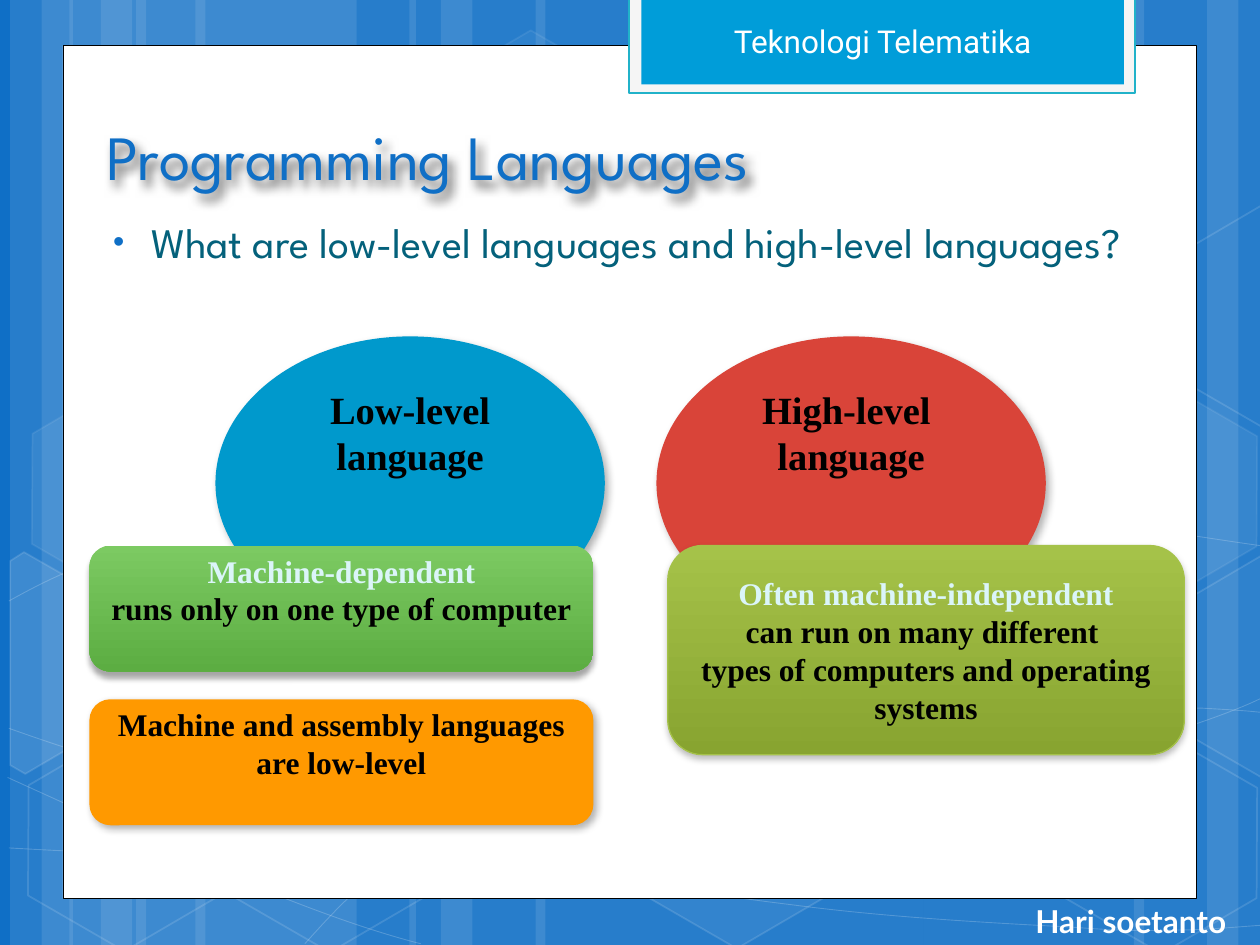
from math import cos, radians, sin

from lxml.etree import SubElement
from pptx import Presentation
from pptx.dml.color import RGBColor
from pptx.enum.shapes import MSO_SHAPE
from pptx.enum.text import MSO_ANCHOR, PP_ALIGN
from pptx.oxml import parse_xml
from pptx.oxml.ns import nsdecls, qn
from pptx.util import Cm, Pt

BLUE = RGBColor(0x0F, 0x6F, 0xC6)
TEAL = RGBColor(0x04, 0x61, 0x7B)
CYAN = RGBColor(0x00, 0x9D, 0xD9)
EDGE = RGBColor(0x21, 0xB2, 0xC9)
PALE = RGBColor(0xDB, 0xF5, 0xF9)
GREY = RGBColor(0xF5, 0xF5, 0xF5)
WHITE = RGBColor(0xFF, 0xFF, 0xFF)
BLACK = RGBColor(0, 0, 0)
RED = RGBColor(0xD9, 0x44, 0x39)
SKY = RGBColor(0x00, 0x99, 0xCC)
ORANGE = RGBColor(0xFF, 0x99, 0x00)
LIME = RGBColor(0xA5, 0xC2, 0x49)
GREENS = [RGBColor(0x7C, 0xCA, 0x62), RGBColor(0x5C, 0xAD, 0x42)]
OLIVES = [LIME, RGBColor(0x88, 0xA4, 0x30)]
SERIF = "Times New Roman"

# Shadows: opacity %, blur pt, distance pt, angle
SOFT = (30, 4.5, 2.6, 53)
BELOW = (34, 3.5, 4, 90)
FAINT = (28, 4, 2, 90)
TITLE_SHADOW = (65, 6, 4, 60)

# Places below are in inches.
# Stripe sets: outer edge, direction, width of the broad stripe
STRIPE_SETS = [(0.08, 1, 1.75), (0.55, 1, 1.75), (10.08, -1, 1.75), (3.25, 1, 3.08)]
# Waves: start, then Bezier triples (control, control, end)
WAVES = [
    [(0.07, 6.73), (0.61, 6.76), (1.15, 6.79), (1.9, 6.78), (2.65, 6.77), (3.58, 6.75),
     (4.58, 6.65), (5.58, 6.55), (7, 6.36), (7.92, 6.17), (8.83, 5.98), (9.77, 5.68), (10.07, 5.51)],
    [(0.07, 4.77), (0.36, 4.61), (0.65, 4.46), (1.21, 4.31), (1.78, 4.16), (2.59, 3.94),
     (3.47, 3.87), (4.36, 3.8), (5.44, 3.79), (6.54, 3.87), (7.64, 3.95), (9.47, 4.26), (10.07, 4.34)],
    [(0.06, 6.17), (1.27, 6.72), (2.47, 7.27), (3.34, 7.49)],
    [(0.07, 5.78), (0.38, 5.89), (0.7, 6), (1.28, 6.16), (1.86, 6.31), (2.73, 6.56),
     (3.57, 6.73), (4.4, 6.9), (5.45, 7.08), (6.28, 7.18), (7.11, 7.29), (8, 7.33),
     (8.53, 7.36), (9.05, 7.4), (9.19, 7.38), (9.45, 7.38), (9.71, 7.37), (9.89, 7.35), (10.07, 7.34)],
    [(2.42, 7.49), (2.6, 7.29), (2.78, 7.09), (3.02, 6.91), (3.26, 6.73), (3.6, 6.53),
     (3.88, 6.39), (4.16, 6.25), (4.33, 6.19), (4.7, 6.09), (5.06, 5.99), (5.73, 5.85),
     (6.08, 5.78), (6.44, 5.71), (6.49, 5.71), (6.8, 5.69), (7.11, 5.66), (7.6, 5.63),
     (7.94, 5.62), (8.29, 5.61), (8.86, 5.62), (8.86, 5.62), (9.08, 5.62), (9.31, 5.62),
     (9.53, 5.62), (9.71, 5.63), (9.88, 5.64), (9.97, 5.65), (10.06, 5.66), (10.03, 5.65), (10.06, 5.66)],
]
TILT = 30
# Hexagons: left, top, fill opacity, line opacity
HEXAGONS = [(3.34, 0.36, 4, 8), (4.97, 5.89, 6, 12), (0.11, 5.91, 0, 12),
            (0.14, 3.12, 7, 8), (1.74, 5.92, 0, 12), (7.53, 4.53, 10, 12),
            (8.34, 5.93, 0, 12), (8.34, 3.14, 7, 8)]
# Hexagons cut by the slide edge: centre, corners, fill opacity
CUT_HEXAGONS = [
    ((0.36, 5.35), [(0.08, 4.45), (0.19, 4.38), (0.96, 4.82), (0.95, 5.7), (0.2, 6.14), (0.08, 6.07)], 10),
    ((9.85, 5.2), [(9.26, 4.85), (10.01, 4.41), (10.09, 4.46), (10.09, 6.13), (10.02, 6.17), (9.26, 5.73)], 4),
    ((9.85, 2.41), [(9.26, 2.07), (10.01, 1.63), (10.1, 1.68), (10.09, 3.35), (10.02, 3.39), (9.26, 2.95)], 0),
]
# Ellipses: left, fill, text
ELLIPSES = [(5.21, RED, "High-level \vlanguage"), (1.71, SKY, "Low-level\vlanguage")]
# Cards: place, fill, line, shadow, anchor, runs
CARDS = [
    ((0.71, 4.33, 4, 1), GREENS, None, BELOW, MSO_ANCHOR.TOP,
     [("Machine-dependent\v", PALE), ("runs only on one type of computer", BLACK)]),
    ((5.3, 4.33, 4.1, 1.66), OLIVES, LIME, FAINT, MSO_ANCHOR.MIDDLE,
     [("Often machine-independent\v", PALE),
      ("can run on many different \vtypes of computers and operating systems", BLACK)]),
    ((0.71, 5.55, 4, 1), ORANGE, None, SOFT, MSO_ANCHOR.TOP,
     [("Machine and assembly languages are low-level", BLACK)]),
]


def inch(v):
    return Cm(v * 2.54)


def set_color(fill, color, opacity):
    fill.solid()
    fill.fore_color.rgb = color
    if opacity < 100:
        clr = fill._xPr.find(qn("a:solidFill"))[0]
        SubElement(clr, qn("a:alpha")).set("val", str(opacity * 1000))


def add_shadow(sp, opacity, blur, dist, angle):
    sp.shadow.inherit = False
    SubElement(sp.element.spPr.find(qn("a:effectLst")), qn("a:outerShdw")).append(parse_xml(
        f'<a:srgbClr {nsdecls("a")} val="000000"><a:alpha val="{opacity * 1000}"/></a:srgbClr>'))
    shadow = sp.element.spPr.find(qn("a:effectLst"))[0]
    for key, value in (("blurRad", Pt(blur)), ("dist", Pt(dist)), ("dir", angle * 60000),
                       ("algn", "tl"), ("rotWithShape", 0)):
        shadow.set(key, str(value))


def paint(sp, fill=None, line=None, width=1, opacity=100, line_opacity=100, shadow=None):
    sp.shadow.inherit = False
    if isinstance(fill, list):
        sp.fill.gradient()
        sp.fill.gradient_angle = 270
        for stop, color in zip(sp.fill.gradient_stops, fill):
            stop.color.rgb = color
    elif fill is None or opacity == 0:
        sp.fill.background()
    else:
        set_color(sp.fill, fill, opacity)
    if line is None:
        sp.line.fill.background()
    else:
        sp.line.width = Pt(width)
        set_color(sp.line.fill, line, line_opacity)
    if shadow:
        add_shadow(sp, *shadow)
    return sp


def add_shape(kind, place, **look):
    return paint(s.shapes.add_shape(kind, *map(inch, place)), **look)


def add_outline(points, close, **look):
    pts = [(inch(x), inch(y)) for x, y in points]
    fb = s.shapes.build_freeform(*pts[0], scale=1.0)
    fb.add_line_segments(pts[1:], close=close)
    return paint(fb.convert_to_shape(), line=WHITE, **look)


def bend(sp):
    """Turn each three line segments into one Bezier curve."""
    segments = list(sp.element.spPr.iter(qn("a:lnTo")))
    for i in range(0, len(segments), 3):
        curve = SubElement(segments[i].getparent(), qn("a:cubicBezTo"))
        for segment in segments[i:i + 3]:
            curve.append(segment[0])
            segment.getparent().remove(segment)


def turn(point, centre, degrees):
    a = radians(degrees)
    dx, dy = point[0] - centre[0], point[1] - centre[1]
    return centre[0] + dx * cos(a) - dy * sin(a), centre[1] + dx * sin(a) + dy * cos(a)


def write(sp, text, size=18, font=SERIF, color=BLACK, bold=False, align=PP_ALIGN.CENTER,
          anchor=MSO_ANCHOR.TOP, wrap=True, inset=None):
    """Text is a string, or a list of (string, colour) runs; \\v breaks a line."""
    tf = sp.text_frame
    tf.word_wrap = wrap
    tf.vertical_anchor = anchor
    if inset is not None:
        tf.margin_left = tf.margin_right = tf.margin_top = tf.margin_bottom = inset
    p = tf.paragraphs[0]
    p.alignment = align
    for part, part_color in [(text, color)] if isinstance(text, str) else text:
        for i, piece in enumerate(part.split("\v")):
            if i:
                p.add_line_break()
            if piece:
                r = p.add_run()
                r.text = piece
                r.font.size, r.font.name, r.font.bold = Pt(size), font, bold
                r.font.color.rgb = part_color
    return p


def add_text(place, text, **fmt):
    sp = s.shapes.add_textbox(*map(inch, place))
    return sp, write(sp, text, **fmt)


prs = Presentation()
prs.slide_width, prs.slide_height = Cm(25.4), Cm(19.05)
s = prs.slides.add_slide(prs.slide_layouts[6])
s.background.fill.solid()
s.background.fill.fore_color.rgb = BLUE

# Background stripes, waves and hexagons
for edge, side, broad in STRIPE_SETS:
    for offset, width in ((1, broad), (0, 0.5), (0.25, 0.83)):
        left = edge + offset if side > 0 else edge - offset - width
        add_shape(MSO_SHAPE.RECTANGLE, (left, 0, width, 7.5), fill=WHITE, opacity=10)
for wave in WAVES:
    bend(add_outline(wave, False, width=0.5, line_opacity=20))
for left, top, opacity, line_opacity in HEXAGONS:
    sp = add_shape(MSO_SHAPE.HEXAGON, (left, top, 1.75, 1.52), fill=WHITE, line=WHITE,
                   opacity=opacity, line_opacity=line_opacity)
    sp.adjustments[0] = 0.285
    sp.rotation = TILT
for centre, corners, opacity in CUT_HEXAGONS:
    sp = add_outline([turn(c, centre, -TILT) for c in corners], True,
                     fill=WHITE, opacity=opacity, line_opacity=12)
    sp.rotation = TILT

# Page and header tab
add_shape(MSO_SHAPE.RECTANGLE, (0.5, 0.36, 9, 6.77), fill=WHITE, line=BLACK, width=0.5)
add_shape(MSO_SHAPE.RECTANGLE, (4.99, -0.02, 4.02, 0.76), fill=GREY, line=EDGE, width=1.25)
tab = add_shape(MSO_SHAPE.RECTANGLE, (5.09, -0.02, 3.83, 0.69), fill=CYAN)
write(tab, "Teknologi Telematika", font="Roboto", color=WHITE, anchor=MSO_ANCHOR.MIDDLE)

# Title and question
title, p = add_text((0.75, 0.83, 8.5, 0.75), "Programming Languages", size=36, font="League Spartan",
                    color=BLUE, align=PP_ALIGN.LEFT, anchor=MSO_ANCHOR.BOTTOM)
add_shadow(title, *TITLE_SHADOW)
question, p = add_text((0.73, 1.67, 8.42, 1.08), "What are low-level languages and high-level languages?",
                       size=24, font="League Spartan", color=TEAL, align=PP_ALIGN.LEFT)
pPr = p._p.get_or_add_pPr()
pPr.set("marL", str(inch(0.37)))
pPr.set("indent", str(inch(-0.3)))
SubElement(SubElement(pPr, qn("a:buClr")), qn("a:srgbClr")).set("val", str(BLUE))
SubElement(pPr, qn("a:buSzPct")).set("val", "76000")
SubElement(pPr, qn("a:buFont")).set("typeface", "Arial")
SubElement(pPr, qn("a:buChar")).set("char", "•")

# Language levels and their traits
for left, color, text in ELLIPSES:
    sp = add_shape(MSO_SHAPE.OVAL, (left, 2.67, 3.09, 2.33), fill=color, shadow=SOFT)
    write(sp, text, size=22, bold=True, wrap=False)
for place, fill, line, shadow, anchor, runs in CARDS:
    sp = add_shape(MSO_SHAPE.ROUNDED_RECTANGLE, place, fill=fill, line=line, width=0.75, shadow=shadow)
    write(sp, runs, bold=True, anchor=anchor, inset=0)

# Author
add_text((6, 7.11, 3.83, 0.4), "Hari soetanto", font="Lato", color=WHITE, bold=True,
         align=PP_ALIGN.RIGHT, anchor=MSO_ANCHOR.MIDDLE)

prs.save("out.pptx")
